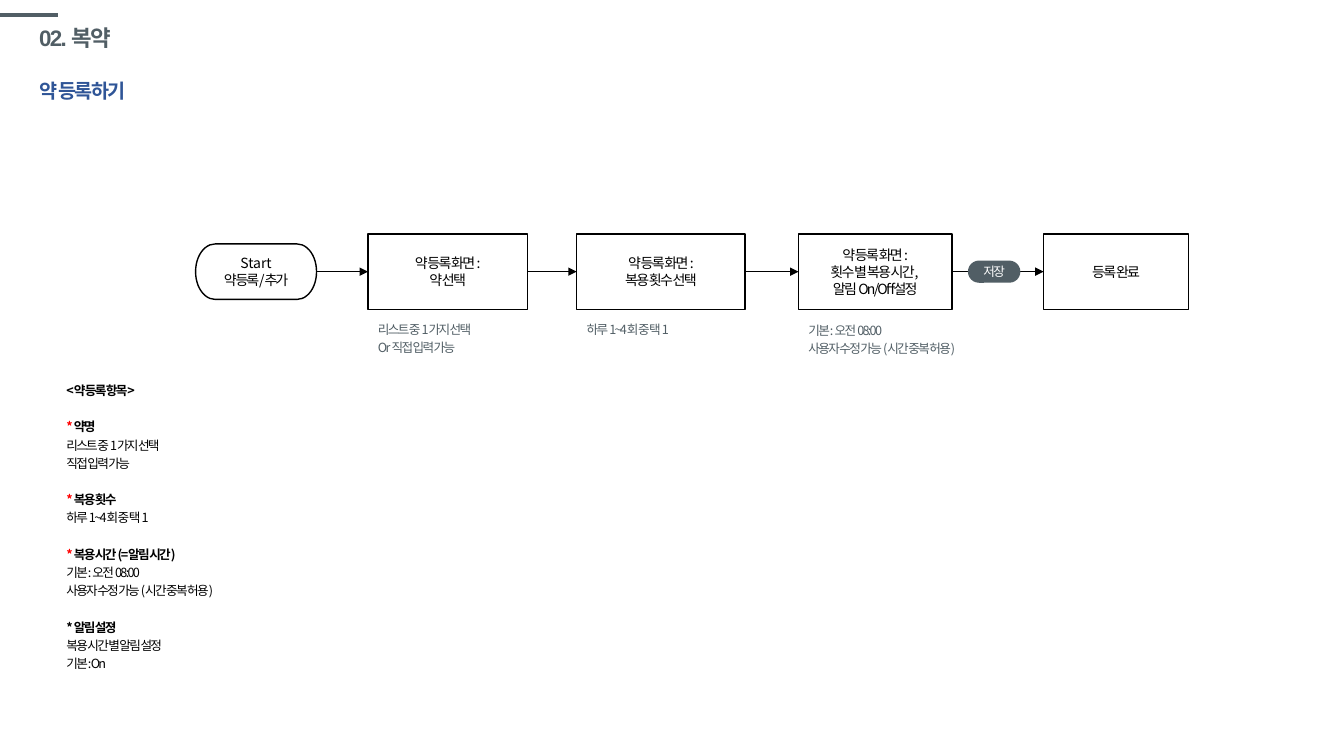
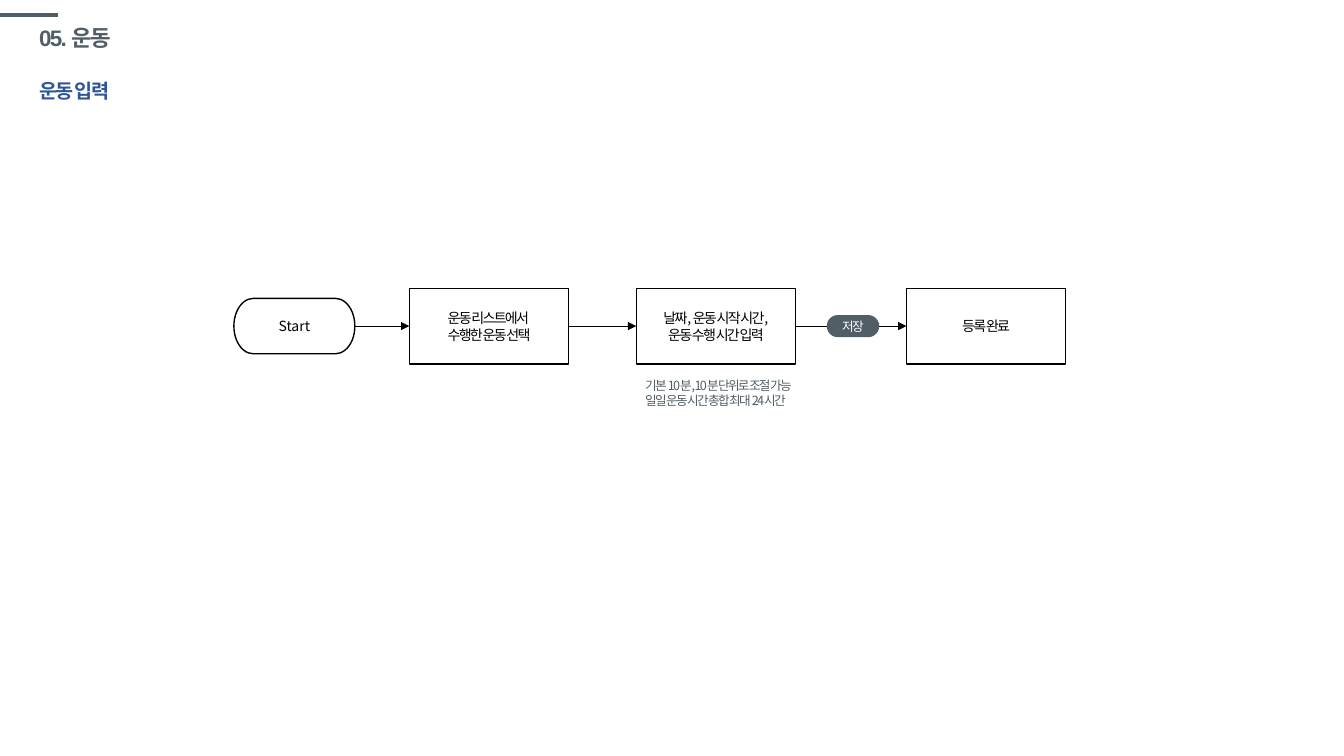
"""Build two flow chart slides: registering a medicine and entering exercise."""
from pptx import Presentation
from pptx import util as u
from pptx.dml.color import RGBColor
from pptx.enum import shapes, text
from pptx.oxml.ns import qn
from lxml import etree

PX = 9144
FONT = "Noto Sans CJK KR"
C = {"slate": "515E65", "blue": "2F5597", "black": "000000", "white": "FFFFFF", "red": "FF0000"}
BOX_H, START_W, START_H = 75, 120, 55
PILL_W, PILL_H = 52, 22
LEFT, CENTER = text.PP_ALIGN.LEFT, text.PP_ALIGN.CENTER


def write(tf, paras, size, color, align=LEFT, spacing=1.0, **base):
    """Write paragraphs, each a list of (text, run style) pairs."""
    for i, runs in enumerate(paras):
        p = tf.paragraphs[0] if i == 0 else tf.add_paragraph()
        p.alignment, p.line_spacing = align, spacing
        for value, own in runs:
            style = {"color": color, "bold": False, "spc": -120, "font": FONT, **base, **own}
            r = p.add_run()
            r.text = value
            r.font.size, r.font.bold, r.font.name = u.Pt(size), style["bold"], style["font"]
            r.font.color.rgb = RGBColor.from_string(C[style["color"]])
            rPr = r.font._element
            rPr.set("spc", str(style["spc"]))
            etree.SubElement(rPr, qn("a:ea"), typeface=FONT)


def add_line(s, x1, y1, x2, y2, color, width):
    """Add a straight line without a shadow."""
    line = s.shapes.add_connector(shapes.MSO_CONNECTOR.STRAIGHT, x1 * PX, y1 * PX, x2 * PX, y2 * PX)
    line.line.color.rgb = RGBColor.from_string(C[color])
    line.line.width = u.Pt(width)
    etree.SubElement(line._element.spPr, qn("a:effectLst"))
    return line


slides = [
    {
        "title": "02. 복약", "subtitle": "약 등록하기", "top": 232,
        "start": (194, [[("Start", {"spc": 0})], [("약 등록/추가", {"spc": -150})]]),
        "boxes": [
            (365, 158, ["약 등록 화면 :", "약 선택"]),
            (572, 167, ["약 등록 화면 :", "복용 횟수 선택"]),
            (792, 152, ["약 등록 화면 :", "횟수 별 복용 시간, ", "알림 On/Off설정"]),
            (1035, 144, ["등록 완료"]),
        ],
        "pill": 960, "note_spacing": 1.2,
        "notes": [
            (365, 311, 152, ["리스트 중 1가지 선택", "Or 직접 입력 가능"]),
            (572, 311, 152, ["하루 1~4회 중 택 1"]),
            (792, 312, 190, ["기본: 오전 08:00", "사용자 수정 가능 (시간 중복 허용)"]),
        ],
    },
    {
        "title": "05. 운동", "subtitle": "운동 입력", "top": 286,
        "start": (232, [[("Start", {"spc": 0})]]),
        "boxes": [
            (406, 158, ["운동 리스트에서 ", "수행한 운동 선택"]),
            (631, 158, ["날짜, 운동 시작 시간,", "운동 수행 시간 입력"]),
            (899, 158, ["등록 완료"]),
        ],
        "pill": 820, "note_spacing": 1.0,
        "notes": [
            (630, 370, 181, ["기본 10분, 10분 단위로 조절 가능", "일일 운동 시간 총합 최대 24시간"]),
        ],
    },
]

items = [
    ("red", "약명", ["리스트 중 1가지 선택", "직접 입력 가능"]),
    ("red", "복용 횟수", ["하루 1~4회 중 택 1"]),
    ("red", "복용 시간 (=알림 시간)", ["기본: 오전 08:00", "사용자 수정 가능 (시간 중복 허용)"]),
    ("black", "알림 설졍", ["복용 시간 별 알림 설정", "기본: On"]),
]

prs = Presentation()
prs.slide_width, prs.slide_height = 1333 * PX, 750 * PX

for data in slides:
    s = prs.slides.add_slide(prs.slide_layouts[6])
    add_line(s, 0, 15, 58, 15, "slate", 3)

    title = s.shapes.add_textbox(29 * PX, 19 * PX, 1150 * PX, 39 * PX)
    title.text_frame.word_wrap = True
    title.text_frame.vertical_anchor = text.MSO_ANCHOR.MIDDLE
    write(title.text_frame, [[(data["title"], {})]], 16, "slate", spacing=0.9, bold=True, font="Arial")

    subtitle = s.shapes.add_textbox(29 * PX, 62 * PX, 288 * PX, 45 * PX)
    subtitle.text_frame.word_wrap = True
    write(subtitle.text_frame, [[(data["subtitle"], {})]], 14, "blue", spacing=1.5, bold=True)

    top = data["top"]
    middle = top + BOX_H / 2
    start_x, start_text = data["start"]
    steps = [(shapes.MSO_SHAPE.FLOWCHART_TERMINATOR, start_x, START_W, START_H, start_text)]
    for x, w, lines in data["boxes"]:
        steps.append((shapes.MSO_SHAPE.FLOWCHART_PROCESS, x, w, BOX_H, [[(line, {})] for line in lines]))

    previous = None
    for kind, x, w, h, paras in steps:
        sp = s.shapes.add_shape(kind, x * PX, int((middle - h / 2) * PX), w * PX, h * PX)
        sp.shadow.inherit = False
        sp.fill.solid()
        sp.fill.fore_color.rgb = RGBColor.from_string(C["white"])
        sp.line.color.rgb = RGBColor.from_string(C["black"])
        sp.line.width = u.Pt(1)
        sp.text_frame.word_wrap = False
        sp.text_frame.vertical_anchor = text.MSO_ANCHOR.MIDDLE
        write(sp.text_frame, paras, 10, "black", CENTER)
        if previous is not None:
            arrow = add_line(s, 0, 0, 0, 0, "black", 0.5)
            arrow.begin_connect(previous, 3)
            arrow.end_connect(sp, 1)
            etree.SubElement(arrow.line._get_or_add_ln(), qn("a:tailEnd"), type="triangle")
        previous = sp

    pill = s.shapes.add_shape(shapes.MSO_SHAPE.ROUNDED_RECTANGLE, data["pill"] * PX,
                              int((middle - PILL_H / 2) * PX), PILL_W * PX, PILL_H * PX)
    pill.adjustments[0] = 0.5
    pill.shadow.inherit = False
    pill.fill.solid()
    pill.fill.fore_color.rgb = RGBColor.from_string(C["slate"])
    pill.line.fill.background()
    tf = pill.text_frame
    tf.margin_left = tf.margin_right = tf.margin_top = tf.margin_bottom = 0
    tf.vertical_anchor = text.MSO_ANCHOR.MIDDLE
    write(tf, [[("저장", {})]], 9, "white", CENTER)

    for x, y, w, lines in data["notes"]:
        note = s.shapes.add_textbox(x * PX, y * PX, w * PX, 46 * PX)
        note.text_frame.word_wrap = True
        write(note.text_frame, [[(line, {})] for line in lines], 9, "slate", spacing=data["note_spacing"])

paras = [[("<약 등록 항목>", {"bold": True})]]
headings = []
for star, name, lines in items:
    headings.append(len(paras))
    paras.append([("* ", {"color": star, "bold": True}), (name, {"bold": True})])
    paras += [[(line, {})] for line in lines]

legend = prs.slides[0].shapes.add_textbox(56 * PX, 372 * PX, 193 * PX, 301 * PX)
legend.text_frame.word_wrap = True
write(legend.text_frame, paras, 9, "black", spacing=1.2)
for i in headings:
    legend.text_frame.paragraphs[i].space_before = u.Pt(13)

prs.save("out.pptx")
